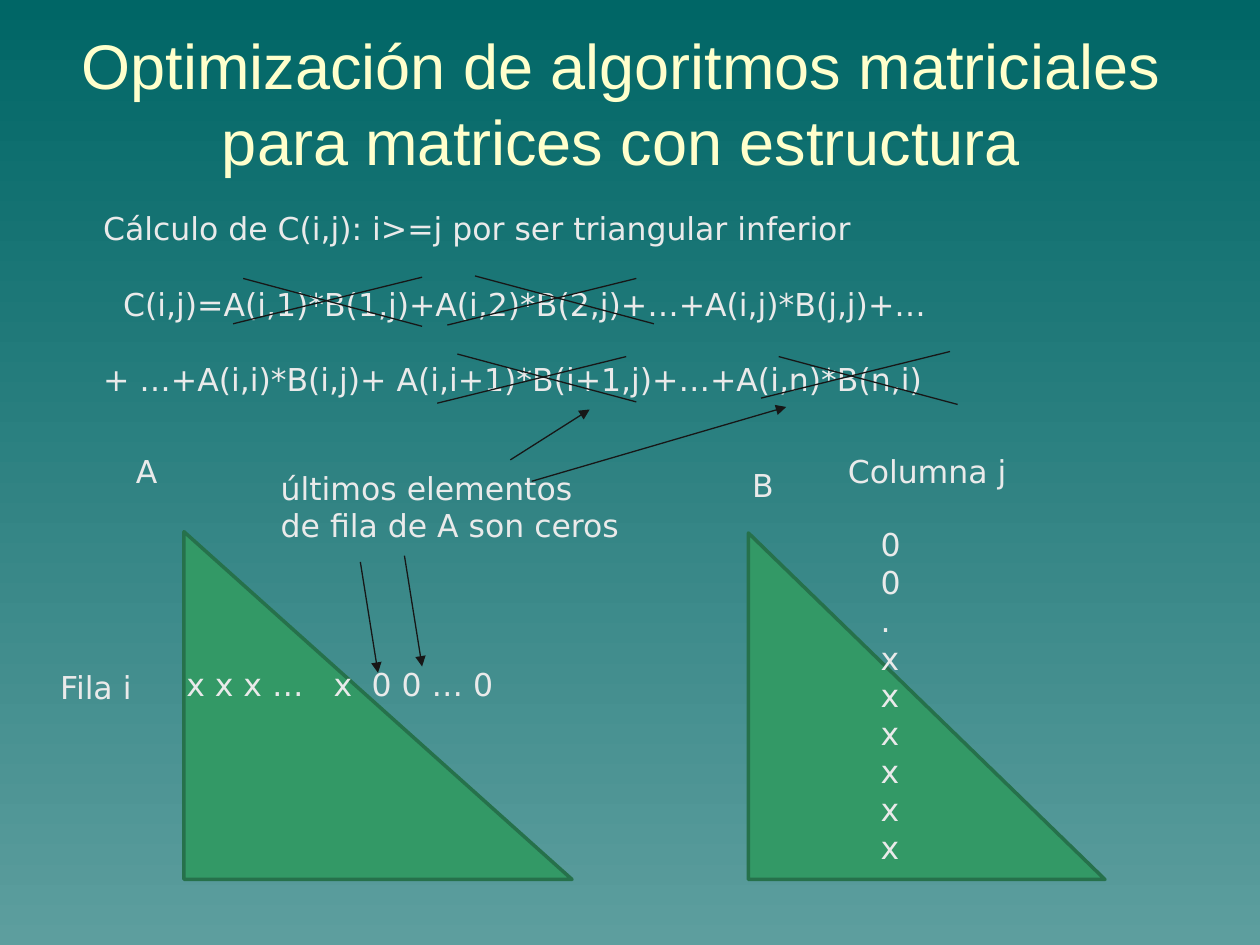
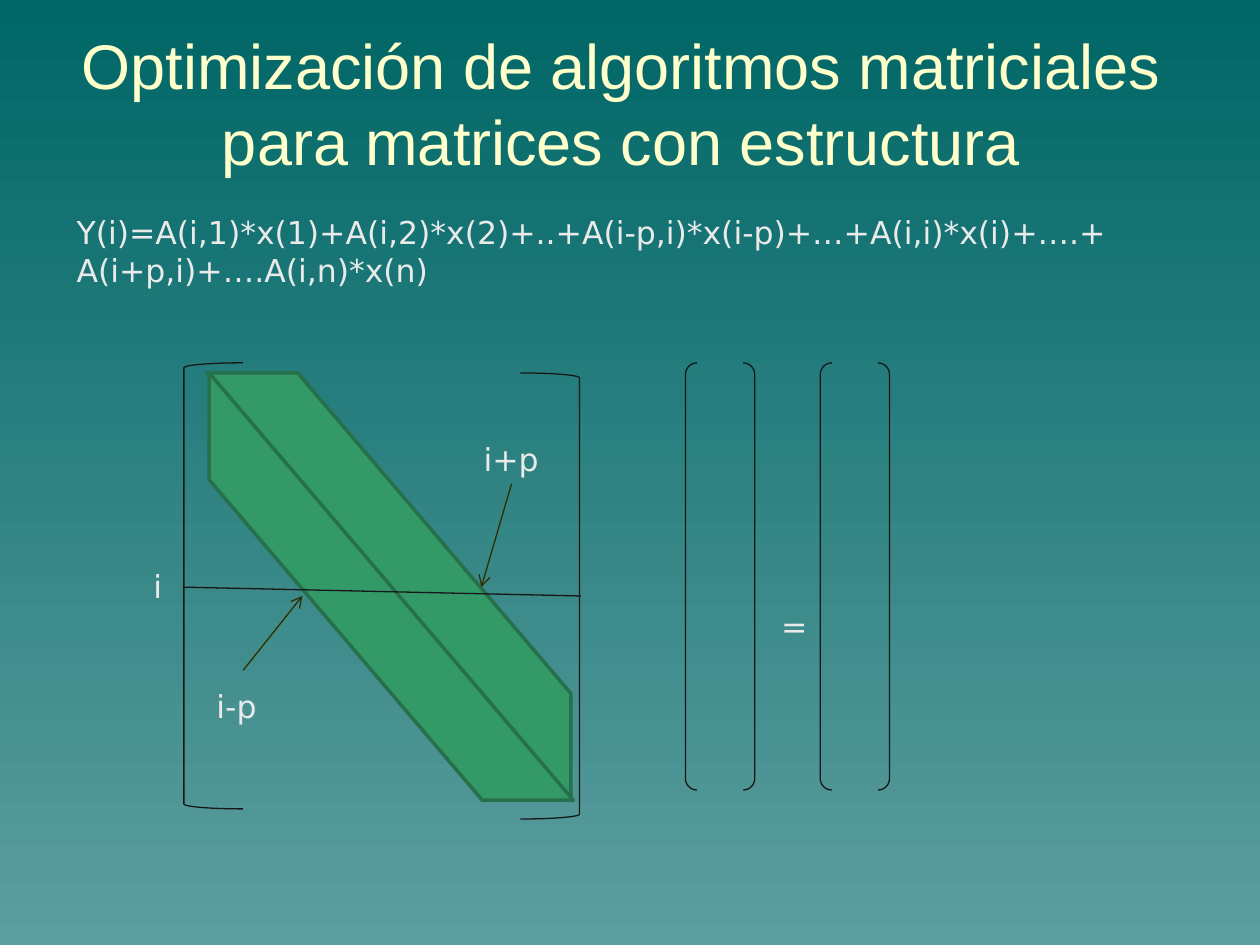
from lxml import etree
from pptx import Presentation
from pptx.dml.color import RGBColor
from pptx.enum.shapes import MSO_CONNECTOR, MSO_SHAPE
from pptx.enum.text import MSO_ANCHOR, PP_ALIGN
from pptx.oxml.ns import qn
from pptx.util import Emu, Pt

PX = 9144  # 100 px to the inch

BG_TOP = RGBColor(0x00, 0x66, 0x66)
BG_BOTTOM = RGBColor(0x5D, 0x9E, 0x9E)
TITLE_COLOR = RGBColor(0xFF, 0xFF, 0xCC)
TEXT_COLOR = RGBColor(0xEA, 0xEA, 0xEA)
GREEN = RGBColor(0x33, 0x99, 0x66)
GREEN_EDGE = RGBColor(0x26, 0x71, 0x4B)
INK = RGBColor(0x17, 0x17, 0x17)
OLIVE = RGBColor(0x2E, 0x2E, 0x00)

TITLE = "Optimización de algoritmos matriciales para matrices con estructura"
TITLE_FONT = "Arial"
BODY_FONT = "DejaVu Sans"
BODY_PITCH = Pt(21.6)

STRAIGHT = MSO_CONNECTOR.STRAIGHT
TRIANGLE = MSO_SHAPE.RIGHT_TRIANGLE
STRIPE = MSO_SHAPE.DIAGONAL_STRIPE
LEFT_BRACKET = MSO_SHAPE.LEFT_BRACKET
BRACKET_PAIR = MSO_SHAPE.DOUBLE_BRACKET
CENTER = PP_ALIGN.CENTER
BOTTOM = MSO_ANCHOR.BOTTOM


def add_text(slide, left, top, width, height, lines, gap=0):
    box = slide.shapes.add_textbox(*(Emu(v * PX) for v in (left, top, width, height)))
    frame = box.text_frame
    frame.word_wrap = True
    frame.margin_right = 0
    for number, line in enumerate(lines):
        paragraph = frame.paragraphs[0] if number == 0 else frame.add_paragraph()
        paragraph.text = line
        paragraph.line_spacing = BODY_PITCH
        if number:
            paragraph.space_before = gap
        paragraph.font.size = Pt(18)
        paragraph.font.name = BODY_FONT
        paragraph.font.color.rgb = TEXT_COLOR
    return frame


def add_line(slide, x1, y1, x2, y2, color=INK, head=None):
    line = slide.shapes.add_connector(STRAIGHT, *(Emu(v * PX) for v in (x1, y1, x2, y2)))
    line.line.color.rgb = color
    line.line.width = Pt(0.75)
    if head:
        etree.SubElement(line.line._get_or_add_ln(), qn("a:tailEnd"), type=head)
    etree.SubElement(line._element.spPr, qn("a:effectLst"))


prs = Presentation()
prs.slide_width = Emu(1000 * PX)
prs.slide_height = Emu(750 * PX)

# Shared background
background = prs.slide_master.background.fill
background.gradient()
background.gradient_angle = 270
for stop, color, position in zip(background.gradient_stops, (BG_TOP, BG_BOTTOM), (0, 1)):
    stop.color.rgb = color
    stop.position = position

product, band = (prs.slides.add_slide(prs.slide_layouts[6]) for _ in range(2))

# Shared title
for slide in (product, band):
    heading = slide.shapes.add_textbox(*(Emu(v * PX) for v in (43, 21, 900, 125))).text_frame
    heading.word_wrap = True
    heading.vertical_anchor = BOTTOM
    heading.text = TITLE
    paragraph = heading.paragraphs[0]
    paragraph.alignment = CENTER
    paragraph.font.size = Pt(36)
    paragraph.font.name = TITLE_FONT
    paragraph.font.color.rgb = TITLE_COLOR

# Triangular matrices, banded matrix and the brackets around it
for slide, preset, box, rotation in (
    (product, TRIANGLE, (146, 422, 308, 276), 0),
    (product, TRIANGLE, (594, 423, 283, 275), 0),
    (band, BRACKET_PAIR, (544, 288, 55, 339), 0),
    (band, BRACKET_PAIR, (651, 288, 55, 339), 0),
    (band, STRIPE, (139, 321, 339, 289), 90),
    (band, STRIPE, (141, 321, 339, 289), 270),
    (band, LEFT_BRACKET, (146, 288, 47, 354), 0),
    (band, LEFT_BRACKET, (413, 296, 47, 354), 180),
):
    shape = slide.shapes.add_shape(preset, *(Emu(v * PX) for v in box))
    shape.shadow.inherit = False
    shape.rotation = rotation
    if preset == STRIPE:
        shape.adjustments[0] = 0.75
    if preset in (TRIANGLE, STRIPE):
        shape.fill.solid()
        shape.fill.fore_color.rgb = GREEN
        shape.line.color.rgb = GREEN_EDGE
        shape.line.width = Pt(2)
    else:
        shape.fill.background()
        shape.line.color.rgb = INK
        shape.line.width = Pt(0.75)

# Slide 1: product of two lower triangular matrices
formula = add_text(product, 72, 161, 866, 313, (
    "Cálculo de C(i,j): i>=j por ser triangular inferior",
    "C(i,j)=A(i,1)*B(1,j)+A(i,2)*B(2,j)+…+A(i,j)*B(j,j)+…",
    "+ …+A(i,i)*B(i,j)+ A(i,i+1)*B(i+1,j)+…+A(i,n)*B(n,i)",
), gap=BODY_PITCH)
formula.paragraphs[1]._p.get_or_add_pPr().set("marL", str(16 * PX))

add_text(product, 98, 354, 37, 40, ["A"])
add_text(product, 587, 365, 38, 40, ["B"])
add_text(product, 38, 525, 80, 40, ["Fila i"])
add_text(product, 663, 354, 149, 40, ["Columna j"])
add_text(product, 689, 412, 36, 313, "00.xxxxxx")
add_text(product, 213, 367, 293, 71, ("últimos elementos", "de fila de A son ceros"))

# Row i, with its last x and its zeros at tab stops
row = add_text(product, 138, 523, 275, 40, ["x x x …\tx\t0 0 … 0"])
row_properties = row.paragraphs[0]._p.get_or_add_pPr()
tabs = etree.Element(qn("a:tabLst"))
for stop in (117, 147):
    etree.SubElement(tabs, qn("a:tab"), pos=str(stop * PX), algn="l")
row_properties.find(qn("a:defRPr")).addprevious(tabs)

# Strokes that cross out the zero terms
for x, y in ((193, 221), (377, 219), (363, 281), (618, 283)):
    add_line(product, x, y, x + 142, y + 38)
for x, y in ((185, 257), (355, 258), (347, 320), (604, 316)):
    add_line(product, x, y, x + 150, y - 37)

# Arrows from the remark to the zeros
for ends in ((321, 441, 335, 529), (286, 446, 300, 534),
             (405, 365, 468, 325), (422, 382, 624, 323)):
    add_line(product, *ends, head="triangle")

# Slide 2: banded matrix times vector
add_text(band, 51, 164, 886, 71, (
    "Y(i)=A(i,1)*x(1)+A(i,2)*x(2)+..+A(i-p,i)*x(i-p)+…+A(i,i)*x(i)+….+",
    "A(i+p,i)+….A(i,n)*x(n)",
))
add_text(band, 610, 477, 41, 40, ["="])
add_text(band, 112, 445, 27, 40, ["i"])
add_text(band, 162, 540, 54, 40, ["i-p"])
add_text(band, 374, 344, 64, 40, ["i+p"])

# Row i and the arrows to the edges of the band
add_line(band, 146, 466, 461, 473)
add_line(band, 193, 532, 240, 473, OLIVE, "arrow")
add_line(band, 406, 384, 382, 466, OLIVE, "arrow")

prs.save("out.pptx")
